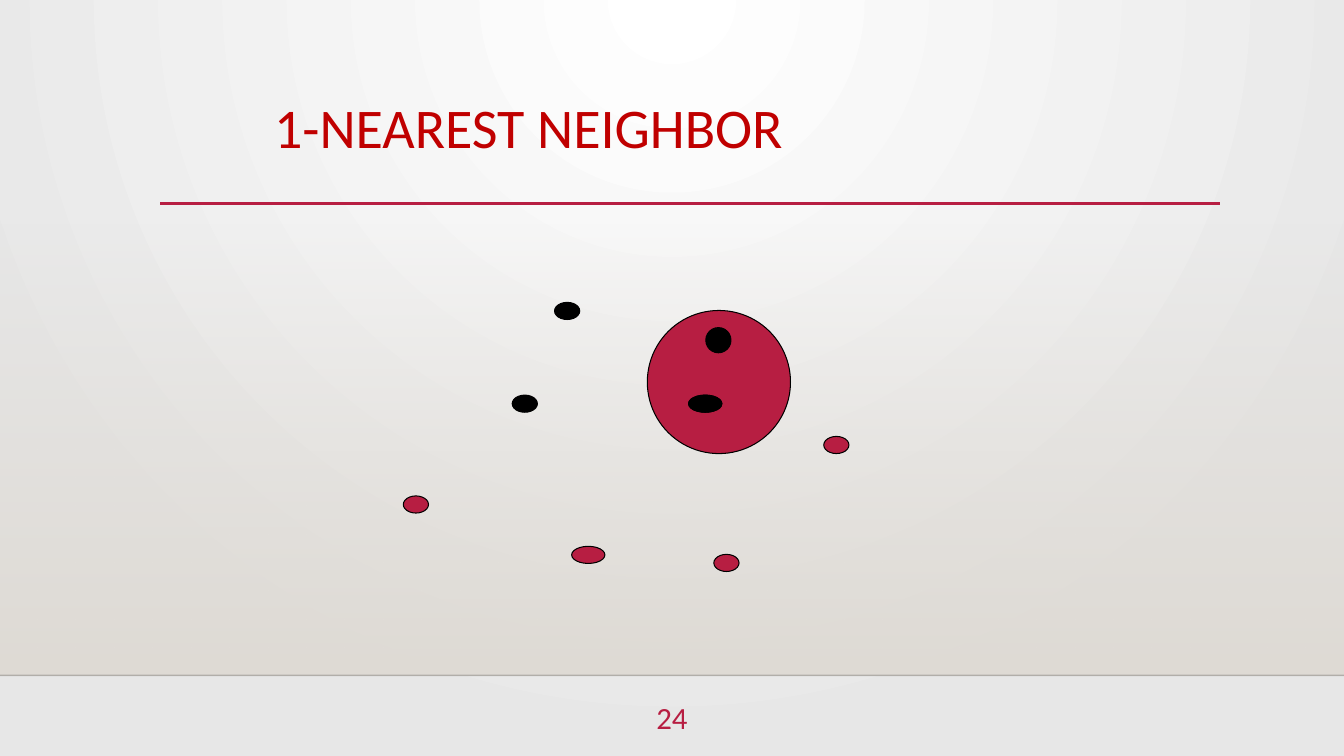
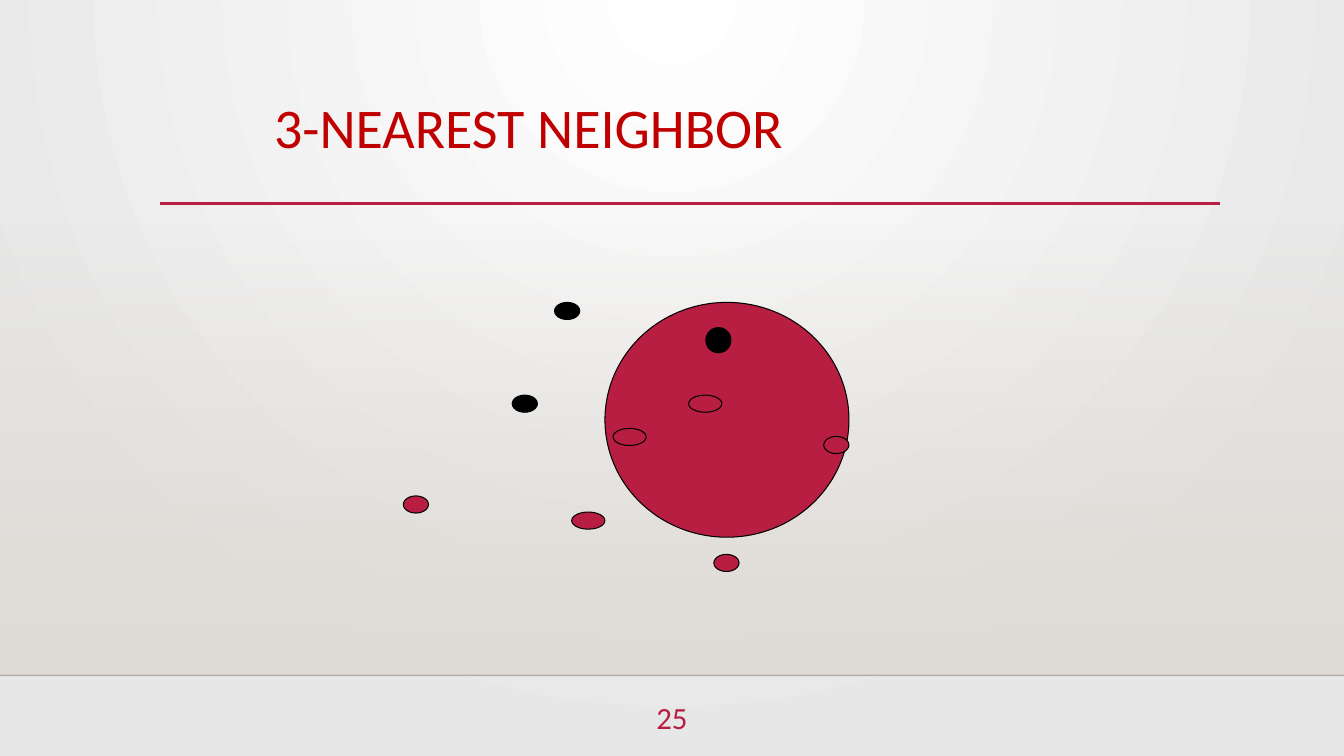
"""Build two slides that compare 1-nearest and 3-nearest neighbor."""
from lxml import etree
from pptx import Presentation
from pptx.dml.color import RGBColor
from pptx.enum.shapes import MSO_CONNECTOR, MSO_SHAPE
from pptx.enum.text import MSO_ANCHOR, PP_ALIGN
from pptx.oxml.ns import qn
from pptx.util import Inches, Pt

CRIMSON = RGBColor(0xB7, 0x1E, 0x42)
TITLE_RED = RGBColor(0xC0, 0x00, 0x00)
BLACK = RGBColor(0x00, 0x00, 0x00)
WHITE = RGBColor(0xFF, 0xFF, 0xFF)
PALE_GRAY = RGBColor(0xE7, 0xE7, 0xE7)
SAND = RGBColor(0xDF, 0xDB, 0xD5)
FONT = "Calibri"
WIDTH, HEIGHT = 13.33, 7.5
BAND_TOP, FOOTER_TOP = 2.21, 6.7

SMALL, WIDE, ROUND = (0.25, 0.17), (0.33, 0.17), (0.25, 0.25)
SHARED_POINTS = [
    (5.08, 3.92, SMALL, BLACK),
    (6.83, 3.92, WIDE, CRIMSON),
    (8.17, 4.33, SMALL, CRIMSON),
    (5.5, 3, SMALL, BLACK),
    (7, 3.25, ROUND, BLACK),
    (4, 4.92, SMALL, CRIMSON),
    (7.08, 5.5, SMALL, CRIMSON),
]
SLIDES = [
    {
        "title": "1-NEAREST NEIGHBOR",
        "number": "24",
        "neighborhood": (6.42, 3.08, (1.42, 1.42), CRIMSON),
        "points": [(5.67, 5.42, WIDE, CRIMSON), (6.83, 3.92, WIDE, BLACK)],
    },
    {
        "title": "3-NEAREST NEIGHBOR",
        "number": "25",
        "neighborhood": (6, 3, (2.42, 2.33), CRIMSON),
        "points": [(5.67, 5.08, WIDE, CRIMSON), (6.08, 4.25, WIDE, CRIMSON)],
    },
]


def set_gradient(fill, colors):
    fill.gradient()
    for stop, color in zip(fill.gradient_stops, colors):
        stop.color.rgb = color


def set_opacity(color_element, percent):
    etree.SubElement(color_element, qn("a:alpha")).set("val", str(percent * 1000))


def style_background(master):
    set_gradient(master.background.fill, (WHITE, PALE_GRAY))
    linear = master.element.xpath(".//p:bgPr/a:gradFill/a:lin")[0]
    circle = etree.Element(qn("a:path"), {"path": "circle"})
    focus = {"l": "43000", "t": "0", "r": "43000", "b": "100000"}
    etree.SubElement(circle, qn("a:fillToRect"), focus)
    linear.getparent().replace(linear, circle)


def add_text(slide, text, left, top, width, height, *, size, color,
             align=PP_ALIGN.LEFT, spacing=1.0):
    frame = slide.shapes.add_textbox(
        Inches(left), Inches(top), Inches(width), Inches(height)).text_frame
    frame.word_wrap = True
    frame.vertical_anchor = MSO_ANCHOR.TOP
    paragraph = frame.paragraphs[0]
    paragraph.alignment = align
    paragraph.line_spacing = spacing
    run = paragraph.add_run()
    run.text = text
    run.font.name = FONT
    run.font.size = Pt(size)
    run.font.color.rgb = color


def add_rule(slide, left, right, y, color, weight):
    rule = slide.shapes.add_connector(
        MSO_CONNECTOR.STRAIGHT, Inches(left), Inches(y), Inches(right), Inches(y))
    rule.line.color.rgb = color
    rule.line.width = Pt(weight)
    etree.SubElement(rule.element.spPr, qn("a:effectLst"))
    return rule


def add_ellipse(slide, left, top, size, color):
    ellipse = slide.shapes.add_shape(
        MSO_SHAPE.OVAL, Inches(left), Inches(top), *map(Inches, size))
    ellipse.shadow.inherit = False
    ellipse.fill.solid()
    ellipse.fill.fore_color.rgb = color
    ellipse.line.color.rgb = BLACK
    ellipse.line.width = Pt(0.75)


def add_frame(slide, title, number):
    band = slide.shapes.add_shape(
        MSO_SHAPE.RECTANGLE, 0, Inches(BAND_TOP),
        Inches(WIDTH), Inches(FOOTER_TOP - BAND_TOP))
    band.shadow.inherit = False
    band.line.fill.background()
    set_gradient(band.fill, (SAND, SAND))
    band.fill.gradient_angle = 270
    set_opacity(band.element.xpath(".//a:gs/a:srgbClr")[0], 0)
    footer_rule = add_rule(slide, 0, WIDTH, FOOTER_TOP, BLACK, 1)
    set_opacity(footer_rule.element.xpath(".//a:ln//a:srgbClr")[0], 20)
    add_rule(slide, 1.59, 12.1, 2.02, CRIMSON, 2.5)
    add_text(slide, title, 2.62, 0.94, 8.93, 0.83,
             size=40, color=TITLE_RED, spacing=0.9)
    add_text(slide, number, 6.22, 6.88, 0.89, 0.55,
             size=22, color=CRIMSON, align=PP_ALIGN.CENTER)


def main():
    presentation = Presentation()
    presentation.slide_width = Inches(WIDTH)
    presentation.slide_height = Inches(HEIGHT)
    style_background(presentation.slide_master)
    for content in SLIDES:
        slide = presentation.slides.add_slide(presentation.slide_layouts[6])
        add_frame(slide, content["title"], content["number"])
        for point in [content["neighborhood"], *SHARED_POINTS, *content["points"]]:
            add_ellipse(slide, *point)
    presentation.save("out.pptx")


if __name__ == "__main__":
    main()
